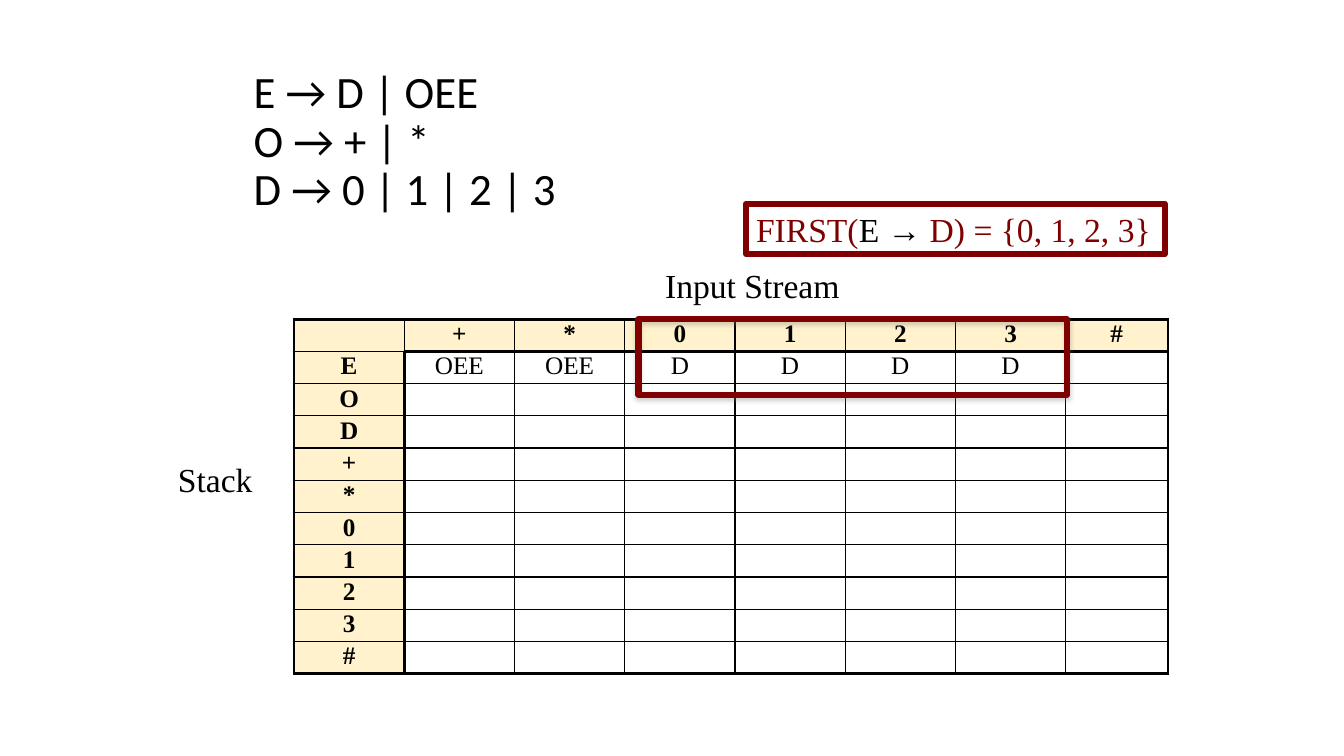
import pptx
import pptx.dml.color
import pptx.enum.shapes
import pptx.enum.text
import pptx.oxml.ns
import pptx.util
from lxml import etree

Pt = pptx.util.Pt
RGBColor = pptx.dml.color.RGBColor
PP_ALIGN = pptx.enum.text.PP_ALIGN
MSO_ANCHOR = pptx.enum.text.MSO_ANCHOR
qn = pptx.oxml.ns.qn

BLACK = RGBColor(0x00, 0x00, 0x00)
MAROON = RGBColor(0x80, 0x00, 0x00)
CREAM = RGBColor(0xFF, 0xF2, 0xCC)
GRAY = RGBColor(0x80, 0x80, 0x80)


def add_color(parent, color):
    fill = etree.SubElement(parent, qn("a:solidFill"))
    return etree.SubElement(fill, qn("a:srgbClr"), val=str(color))


class SlideBuilder:
    title_font = "Calibri"
    body_font = "Times New Roman"
    thin, thick = Pt(1), Pt(2.25)

    def __init__(self, prs):
        self.s = prs.slides.add_slide(prs.slide_layouts[5])

    def run(self, p, text, size, color=BLACK, font=body_font, bold=False):
        r = p.add_run()
        r.text = text
        r.font.name, r.font.size, r.font.bold = font, Pt(size), bold
        r.font.color.rgb = color

    def title(self, lines, left, top, width, height):
        sp = self.s.shapes.title
        sp.left, sp.top, sp.width, sp.height = map(Pt, (left, top, width, height))
        tf = sp.text_frame
        tf.auto_size = pptx.enum.text.MSO_AUTO_SIZE.NONE
        tf.vertical_anchor = MSO_ANCHOR.MIDDLE
        p = tf.paragraphs[0]
        p.alignment = PP_ALIGN.LEFT
        p.line_spacing = 0.9
        for i, line in enumerate(lines):
            if i:
                p.add_line_break()
            self.run(p, line, 32, font=self.title_font)

    def label(self, text, left, top, width, height):
        sp = self.s.shapes.add_textbox(*map(Pt, (left, top, width, height)))
        tf = sp.text_frame
        tf.word_wrap = True
        self.run(tf.paragraphs[0], text, 24)

    def frame(self, left, top, width, height, runs=(), shadow=False):
        sp = self.s.shapes.add_shape(
            pptx.enum.shapes.MSO_SHAPE.RECTANGLE, *map(Pt, (left, top, width, height)))
        sp.shadow.inherit = False
        sp.fill.background()
        sp.line.color.rgb = MAROON
        sp.line.width = Pt(4.5)
        if shadow:
            effects = sp._element.spPr.find(qn("a:effectLst"))
            outer = etree.SubElement(
                effects, qn("a:outerShdw"), blurRad=str(Pt(3.1)), dist=str(Pt(1.8)),
                dir="5400000", rotWithShape="0")
            clr = etree.SubElement(outer, qn("a:srgbClr"), val=str(GRAY))
            etree.SubElement(clr, qn("a:alpha"), val="35000")
        tf = sp.text_frame
        tf.word_wrap = False
        p = tf.paragraphs[0]
        p.alignment = PP_ALIGN.LEFT
        for text, color in runs:
            self.run(p, text, 24, color)

    def borders(self, cell, **thick_sides):
        tcPr = cell._tc.get_or_add_tcPr()
        for side, is_thick in thick_sides.items():
            width = self.thick if is_thick else self.thin
            add_color(etree.SubElement(tcPr, qn("a:ln" + side), w=str(width)), BLACK)

    def table(self, rows, left, top, col_widths, row_height):
        n_rows, n_cols = len(rows), len(col_widths)
        sp = self.s.shapes.add_table(
            n_rows, n_cols, Pt(left), Pt(top), Pt(sum(col_widths)), Pt(row_height * n_rows))
        tbl = sp.table
        tbl.first_row = tbl.horz_banding = False
        for col, width in zip(tbl.columns, col_widths):
            col.width = Pt(width)

        def thick_edge(line, last, across):
            return line in (0, last) or (line == 1 and across > 0)

        for i, texts in enumerate(rows):
            tbl.rows[i].height = Pt(row_height)
            for j in range(n_cols):
                cell = tbl.cell(i, j)
                header = i == 0 or j == 0
                cell.margin_top = cell.margin_bottom = Pt(0.72)
                self.borders(
                    cell,
                    L=thick_edge(j, n_cols, i), R=thick_edge(j + 1, n_cols, i),
                    T=thick_edge(i, n_rows, j), B=thick_edge(i + 1, n_rows, j))
                if header:
                    cell.fill.solid()
                    cell.fill.fore_color.rgb = CREAM
                else:
                    cell.fill.background()
                p = cell.text_frame.paragraphs[0]
                p.alignment = PP_ALIGN.CENTER
                if j < len(texts) and texts[j]:
                    self.run(p, texts[j], 18, bold=header)
                else:
                    etree.SubElement(p._p, qn("a:endParaRPr"), sz="1200")


def main():
    prs = pptx.Presentation()
    prs.slide_width, prs.slide_height = Pt(960), Pt(540)
    b = SlideBuilder(prs)
    b.title(["E → D | OEE", "O → + | *", "D → 0 | 1 | 2 | 3"], 174, 30, 336, 144)
    terminals = ["+", "*", "0", "1", "2", "3", "#"]
    rows = [[""] + terminals, ["E", "OEE", "OEE", "D", "D", "D", "D"]]
    rows += [[symbol] for symbol in ["O", "D"] + terminals]
    b.table(rows, 210, 228, [78.75] * 7 + [73], 23.04)
    b.label("Stack", 120, 324, 90, 36)
    b.label("Input Stream", 468, 186, 156, 36)
    b.frame(533, 145.5, 299, 36, [
        ("FIRST(", MAROON), ("E → ", BLACK), ("D) = {0, 1, 2, 3}", MAROON)])
    b.frame(456, 228, 306, 54, shadow=True)
    prs.save("out.pptx")


if __name__ == "__main__":
    main()
